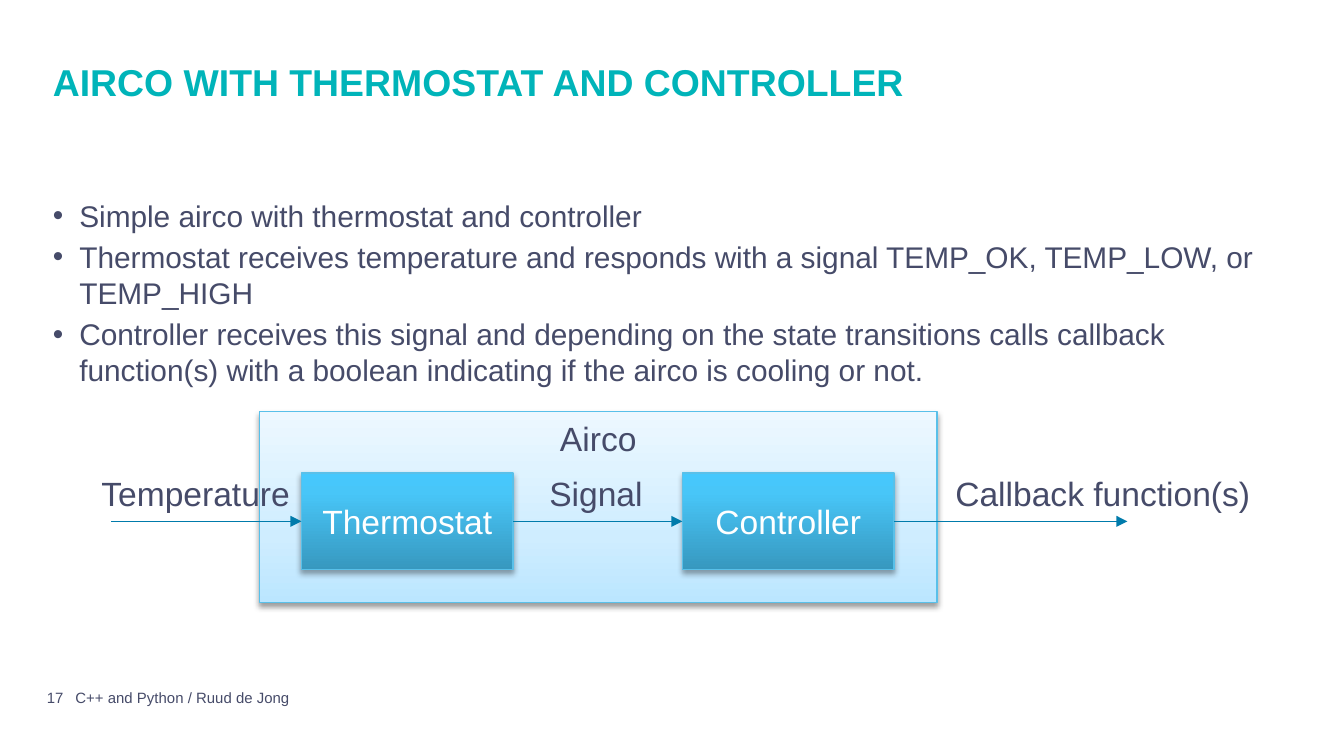
from dataclasses import dataclass

from pptx import Presentation
from pptx.dml.color import RGBColor
from pptx.enum.shapes import MSO_CONNECTOR, MSO_SHAPE
from pptx.enum.text import MSO_ANCHOR as ANCHOR, PP_ALIGN as ALIGN
from pptx.oxml import parse_xml
from pptx.oxml.ns import nsdecls, qn
from pptx.util import Pt

COLORS = {"text": "464B69", "title": "00B4B9", "white": "FFFFFF",
          "edge": "59C0E9", "arrow": "007BAB", "shadow": "000000"}
PALE = ((0, "BBE6FF"), (35, "CFEDFF"), (100, "EDF8FF"))
BRIGHT = ((0, "3798BF"), (80, "48C6F8"), (100, "45C8FD"))


@dataclass
class Block:
    text: str
    x: float
    y: float
    w: float
    h: float
    stops: tuple
    color: str
    anchor: ANCHOR
    alpha: int
    dist: float


@dataclass
class Flow:
    text: str
    x1: float
    x2: float
    label_x: float
    label_w: float


def add_run(p, text: str, size: float, color: str, bold: bool = False) -> None:
    r = p.add_run()
    r.text = text
    r.font.name, r.font.size, r.font.bold = "Arial", Pt(size), bold
    r.font.color.rgb = RGBColor.from_string(COLORS[color])


def add_text(s, x: float, y: float, w: float, h: float,
             anchor: ANCHOR = ANCHOR.TOP, wrap: bool = True):
    tf = s.shapes.add_textbox(Pt(x), Pt(y), Pt(w), Pt(h)).text_frame
    tf.margin_left = tf.margin_right = tf.margin_top = tf.margin_bottom = 0
    tf.word_wrap, tf.vertical_anchor = wrap, anchor
    return tf


def add_bullet(p, indent: float) -> None:
    pPr = p._p.get_or_add_pPr()
    pPr.set("marL", str(Pt(indent)))
    pPr.set("indent", str(-Pt(indent)))
    pPr.append(parse_xml(f'<a:buFont {nsdecls("a")} typeface="Arial"/>'))
    pPr.append(parse_xml(f'<a:buChar {nsdecls("a")} char="•"/>'))


def add_block(s, b: Block) -> None:
    sp = s.shapes.add_shape(MSO_SHAPE.RECTANGLE, Pt(b.x), Pt(b.y), Pt(b.w), Pt(b.h))
    sp.line.color.rgb = RGBColor.from_string(COLORS["edge"])
    sp.line.width = Pt(0.75)
    # Gradient running upwards
    sp.fill.gradient()
    stops = "".join(f'<a:gs pos="{pos * 1000}"><a:srgbClr val="{c}"/></a:gs>'
                    for pos, c in b.stops)
    spPr = sp._element.spPr
    spPr.replace(spPr.find(qn("a:gradFill")), parse_xml(
        f'<a:gradFill {nsdecls("a")} rotWithShape="1"><a:gsLst>{stops}</a:gsLst>'
        '<a:lin ang="16200000" scaled="0"/></a:gradFill>'))
    # Soft shadow below
    sp.shadow.inherit = False
    spPr.find(qn("a:effectLst")).append(parse_xml(
        f'<a:outerShdw {nsdecls("a")} blurRad="{Pt(3.1)}" dist="{Pt(b.dist)}" '
        f'dir="5400000" rotWithShape="0"><a:srgbClr val="{COLORS["shadow"]}">'
        f'<a:alpha val="{b.alpha * 1000}"/></a:srgbClr></a:outerShdw>'))
    tf = sp.text_frame
    tf.vertical_anchor = b.anchor
    tf.paragraphs[0].alignment = ALIGN.CENTER
    add_run(tf.paragraphs[0], b.text, 18, b.color)


def add_flow(s, f: Flow, y: float, label_y: float) -> None:
    cx = s.shapes.add_connector(MSO_CONNECTOR.STRAIGHT, Pt(f.x1), Pt(y), Pt(f.x2), Pt(y))
    cx.line.color.rgb = RGBColor.from_string(COLORS["arrow"])
    cx.line.width = Pt(0.75)
    cx.line._get_or_add_ln().append(
        parse_xml(f'<a:tailEnd {nsdecls("a")} type="triangle"/>'))
    cx._element.spPr.append(parse_xml(f'<a:effectLst {nsdecls("a")}/>'))
    tf = add_text(s, f.label_x, label_y, f.label_w, 21.8, wrap=False)
    add_run(tf.paragraphs[0], f.text, 18, "text")


prs = Presentation()
prs.slide_width, prs.slide_height = Pt(720), Pt(405)
s = prs.slides.add_slide(prs.slide_layouts[6])

# Footer
tf = add_text(s, 40.4, 358.6, 538.6, 20, ANCHOR.BOTTOM)
add_run(tf.paragraphs[0], "C++ and Python / Ruud de Jong", 8, "text")
tf = add_text(s, 0, 358.6, 34, 20, ANCHOR.BOTTOM)
tf.paragraphs[0].alignment = ALIGN.RIGHT
add_run(tf.paragraphs[0], "17", 8, "text")

# Title
MARGIN, WIDTH = 28.35, 663.3
tf = add_text(s, MARGIN, 34.6, WIDTH, 70.6)
tf.paragraphs[0].line_spacing = 0.9
add_run(tf.paragraphs[0], "AIRCO WITH THERMOSTAT AND CONTROLLER", 20, "title", True)

# Bullets
BULLETS = (
    "Simple airco with thermostat and controller",
    "Thermostat receives temperature and responds with a signal "
    "TEMP_OK, TEMP_LOW, or TEMP_HIGH",
    "Controller receives this signal and depending on the state transitions calls "
    "callback function(s) with a boolean indicating if the airco is cooling or not.",
)
tf = add_text(s, MARGIN, 105.8, WIDTH, 242)
for i, text in enumerate(BULLETS):
    p = tf.add_paragraph() if i else tf.paragraphs[0]
    p.space_after = Pt(3)
    add_bullet(p, 14.2)
    add_run(p, text, 16, "text")

# Diagram blocks
TOP, BOX_W, BOX_H = 253.4, 113.4, 51.8
THERMOSTAT_X, CONTROLLER_X = 161.5, 365.6
add_block(s, Block("Airco", 139, 220.6, 363, 102.4, PALE, "text", ANCHOR.TOP, 38, 1.6))
for name, x in (("Thermostat", THERMOSTAT_X), ("Controller", CONTROLLER_X)):
    add_block(s, Block(name, x, TOP, BOX_W, BOX_H, BRIGHT, "white", ANCHOR.MIDDLE, 35, 1.8))

# Labelled arrows
FLOWS = (
    Flow("Temperature", 59.6, THERMOSTAT_X, 54.3, 102),
    Flow("Signal", THERMOSTAT_X + BOX_W, CONTROLLER_X, 294.3, 50.4),
    Flow("Callback function(s)", CONTROLLER_X + BOX_W, 604, 511.8, 160),
)
for flow in FLOWS:
    add_flow(s, flow, TOP + BOX_H / 2, TOP)

prs.save("out.pptx")
